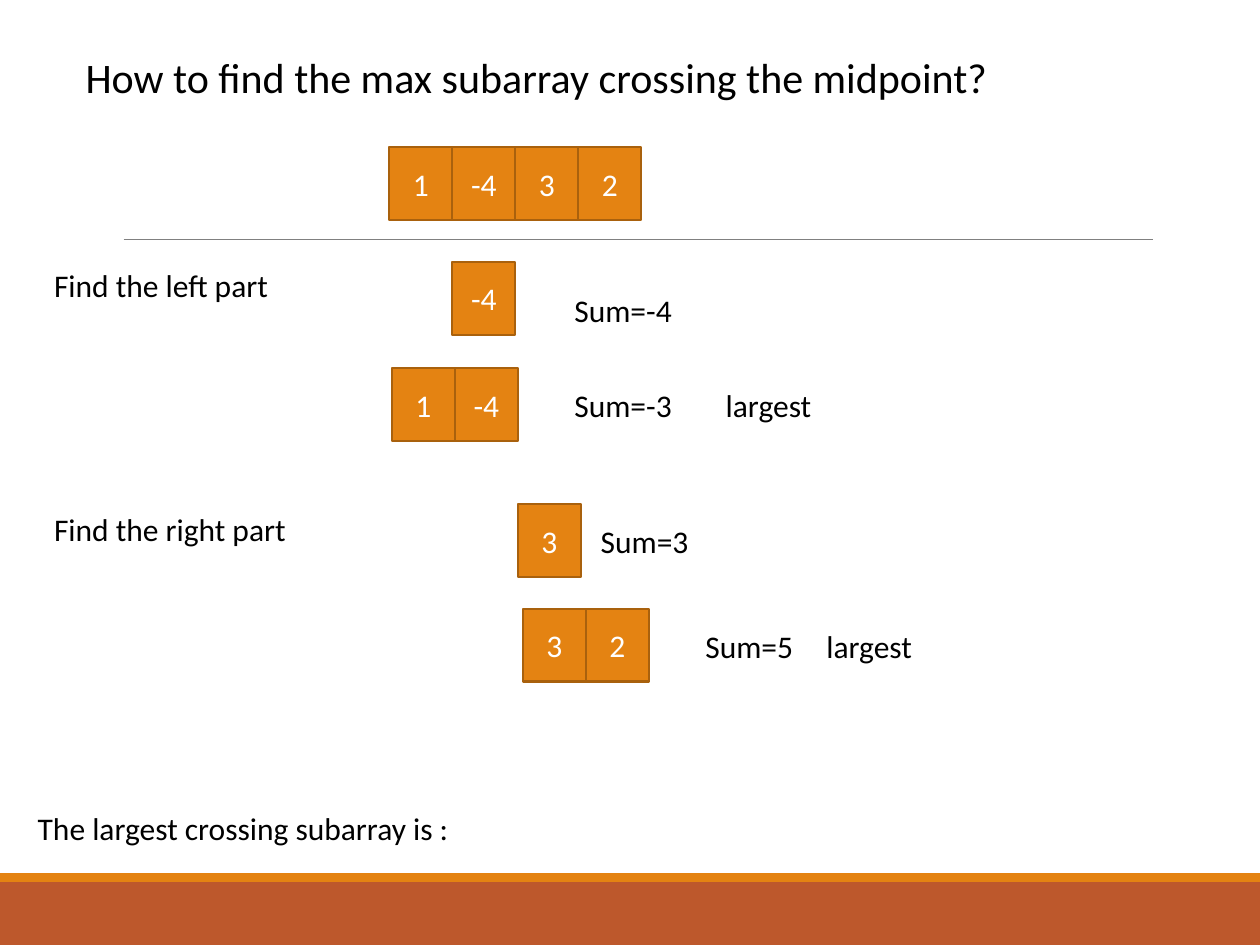
from lxml.etree import SubElement
from pptx import Presentation
from pptx.dml.color import RGBColor
from pptx.enum.shapes import MSO_CONNECTOR, MSO_SHAPE
from pptx.enum.text import MSO_ANCHOR, MSO_AUTO_SIZE, PP_ALIGN
from pptx.oxml.ns import qn
from pptx.util import Cm, Pt

ORANGE, RUST, BROWN = "E48312", "BD582C", "A9610D"
GREY, BLACK, WHITE = "808080", "000000", "FFFFFF"
CELL_WIDTH, CELL_HEIGHT = 1.27, 1.47
LABEL_WIDTH, LABEL_HEIGHT = 4.01, 1.02


def color(value):
    return RGBColor.from_string(value)


def write(shape, text, size=18, fill=BLACK, align=PP_ALIGN.LEFT, anchor=MSO_ANCHOR.TOP):
    frame = shape.text_frame
    frame.word_wrap = True
    frame.auto_size = MSO_AUTO_SIZE.NONE
    frame.vertical_anchor = anchor
    para = frame.paragraphs[0]
    para.alignment = align
    span = para.add_run()
    span.text = text
    span.font.name = "Calibri"
    span.font.size = Pt(size)
    span.font.color.rgb = color(fill)


def add_label(page, left, top, text, width=LABEL_WIDTH):
    box = page.shapes.add_textbox(Cm(left), Cm(top), Cm(width), Cm(LABEL_HEIGHT))
    write(box, text)


def add_rectangle(page, left, top, width, height, fill, outline=None):
    box = page.shapes.add_shape(
        MSO_SHAPE.RECTANGLE, Cm(left), Cm(top), Cm(width), Cm(height))
    box.shadow.inherit = False
    box.fill.solid()
    box.fill.fore_color.rgb = color(fill)
    if outline:
        box.line.color.rgb = color(outline)
        box.line.width = Pt(1.25)
    else:
        box.line.fill.background()
    return box


def add_footer(page, left, top, width, height, stripe=0.18):
    add_rectangle(page, left, top + stripe, width, height - stripe, RUST)
    add_rectangle(page, left, top, width, stripe, ORANGE)


def add_divider(page, left, top, width):
    line = page.shapes.add_connector(
        MSO_CONNECTOR.STRAIGHT, Cm(left), Cm(top), Cm(left + width), Cm(top))
    line.line.color.rgb = color(GREY)
    line.line.width = Pt(0.5)
    SubElement(line._element.spPr, qn("a:effectLst"))


def add_title(page, left, top, width, height, text):
    title = page.shapes.title
    title.left, title.top = Cm(left), Cm(top)
    title.width, title.height = Cm(width), Cm(height)
    write(title, text, size=24)


def add_array(page, left, top, values):
    for index, value in enumerate(values):
        cell = add_rectangle(page, left + index * CELL_WIDTH, top,
                             CELL_WIDTH, CELL_HEIGHT, ORANGE, BROWN)
        write(cell, str(value), fill=WHITE, align=PP_ALIGN.CENTER,
              anchor=MSO_ANCHOR.MIDDLE)


def add_part(page, left, top, heading, rows):
    add_label(page, left, top, heading, width=5.72)
    for array_left, array_top, values, labels_top, labels in rows:
        add_array(page, left + array_left, top + array_top, values)
        for label_left, text in labels:
            add_label(page, left + label_left, top + labels_top, text)


def main():
    deck = Presentation()
    deck.slide_width, deck.slide_height = Cm(25.4), Cm(19.05)
    page = deck.slides.add_slide(deck.slide_layouts[5])
    numbers = [1, -4, 3, 2]
    left_half, right_half = numbers[:2], numbers[2:]

    add_footer(page, 0, 17.6, 25.4, 1.45)
    add_divider(page, 2.49, 4.83, 20.75)
    add_title(page, 1.47, 0.91, 21.59, 1.27,
              "How to find the max subarray crossing the midpoint?")
    add_array(page, 7.85, 2.97, numbers)
    add_part(page, 0.84, 5.23, "Find the left part", [
        (8.28, 0.05, left_half[1:], 0.51, [(10.49, "Sum=-4")]),
        (7.06, 2.19, left_half, 2.42, [(10.49, "Sum=-3"), (13.54, "largest")]),
    ])
    add_part(page, 0.84, 10.16, "Find the right part", [
        (9.6, 0, right_half[:1], 0.23, [(11.02, "Sum=3")]),
        (9.7, 2.11, right_half, 2.36, [(13.13, "Sum=5"), (15.57, "largest")]),
    ])
    add_label(page, 0.51, 16.18, "The largest crossing subarray is :", width=9.93)
    deck.save("out.pptx")


if __name__ == "__main__":
    main()
